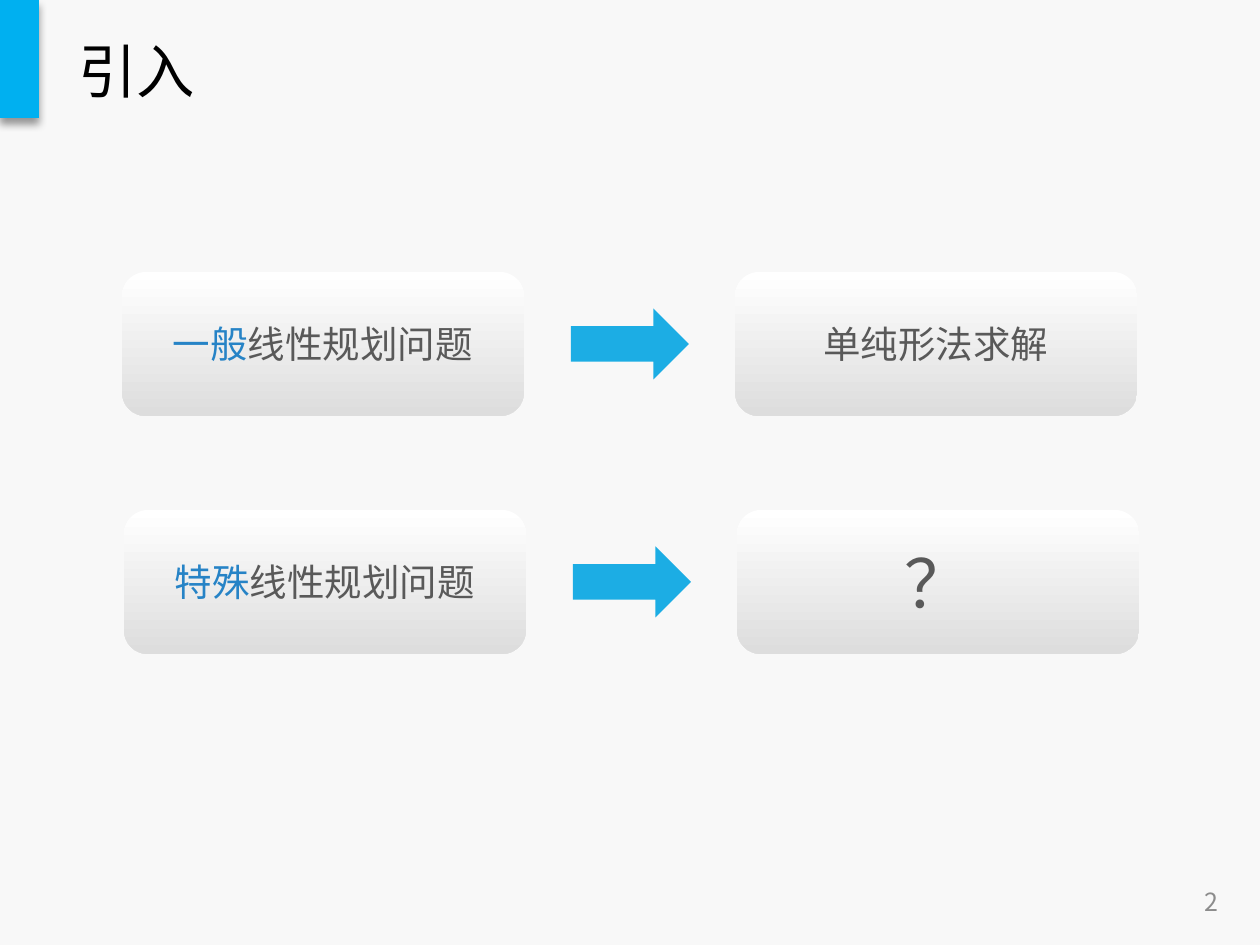
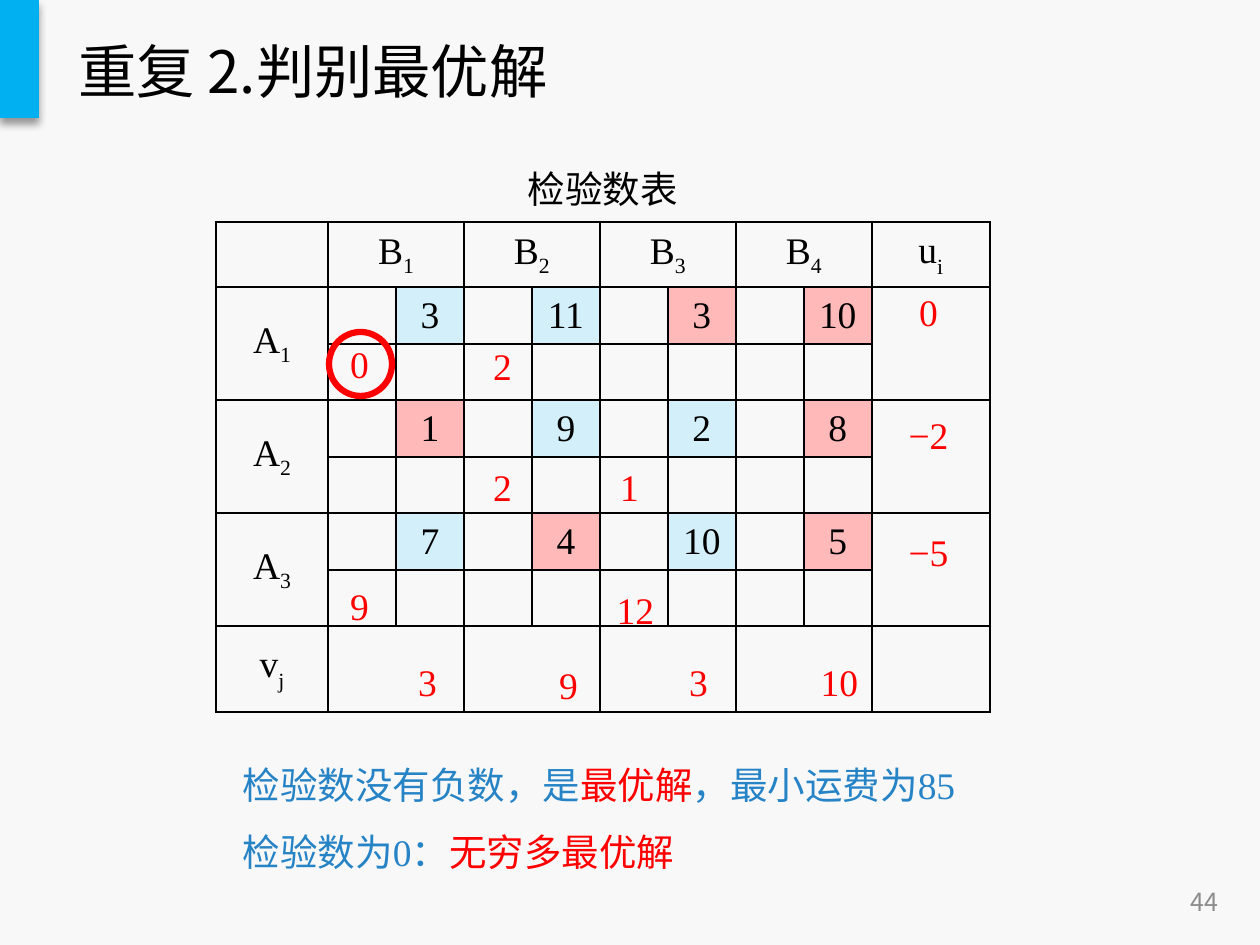
from lxml.etree import SubElement
from pptx import Presentation
from pptx.dml.color import RGBColor
from pptx.enum.shapes import MSO_SHAPE
from pptx.enum.text import MSO_ANCHOR, MSO_AUTO_SIZE, PP_ALIGN
from pptx.oxml import parse_xml
from pptx.oxml.ns import nsdecls, qn
from pptx.util import Pt

EMU_PER_PX = 6096
SANS, SERIF = "Noto Sans CJK SC", "Times New Roman"
BLACK, GREY, PAGE_GREY = "000000", "595959", "8C8C8C"
BLUE, ARROW_BLUE, BAND_BLUE, RED = "2683C6", "1CADE4", "00B0F0", "FF0000"
PALE_BLUE, PALE_RED, BACKGROUND = "D2EFFA", "FFB9B9", "F8F8F8"
BOX_GRADIENT = ("FFFFFF", "DDDDDD")
NO_TABLE_STYLE = "{2D5ABB26-0587-4C30-8999-92F81FD0307C}"

# Each row: left, top, problem runs, method runs, method size
FLOW_ROWS = [
    (122, 272, [("一般", {"color": BLUE}), "线性规划问题"], ["单纯形法求解"], 18),
    (124, 510, [("特殊", {"color": BLUE}), "线性规划问题"], ["？"], 32),
]
BOX_WIDTH, BOX_HEIGHT, METHOD_OFFSET = 402, 144, 613
ARROW_OFFSET, ARROW_WIDTH, ARROW_HEIGHT = 449, 118, 71

TABLE_LEFT, TABLE_TOP = 216, 153
COLUMN_WIDTHS = [112] + [68] * 8 + [118]
ROW_HEIGHTS = [69, 65] + [57, 56] * 3 + [86]
CAPTION = "检验数表"
DESTINATIONS = 4
COSTS = [[3, 11, 3, 10], [1, 9, 2, 8], [7, 4, 10, 5]]
BASIC_CELLS = {(0, 2), (0, 3), (1, 0), (1, 3), (2, 1), (2, 3)}

LABEL_WIDTH, LABEL_HEIGHT = 75, 60
RED_LABELS = [
    ("0", 891, 282), ("−2", 891, 405), ("−5", 891, 522),
    ("3", 390, 652), ("9", 531, 655), ("3", 661, 652), ("10", 802, 652),
    ("0", 322, 334), ("2", 465, 336),
    ("2", 465, 457), ("1", 592, 457),
    ("9", 322, 576), ("12", 598, 580),
]
ZERO_RING = (329, 332, 63, 64)
CONCLUSION = [
    ["检验数没有负数，是", ("最优解", {"color": RED}), "，最小运费为85"],
    ["检验数为0：", ("无穷多最优解", {"color": RED})],
]


def px(*lengths):
    return [round(length * EMU_PER_PX) for length in lengths]


def rgb(color):
    return RGBColor.from_string(color)


def add_run(paragraph, text, size, font, color, baseline=0):
    run = paragraph.add_run()
    run.text = text
    run.font.size = Pt(size)
    run.font.name = font
    run.font.color.rgb = rgb(color)
    properties = run.font._element
    SubElement(properties, qn("a:ea")).set("typeface", SANS)
    if baseline:
        properties.set("baseline", str(baseline * 1000))


def write_text(frame, paragraphs, size=18, font=SERIF, color=BLACK,
               align=PP_ALIGN.LEFT, anchor=MSO_ANCHOR.TOP, spacing=None, wrap=True):
    """Fill a frame; each paragraph is a list of strings or (string, overrides)."""
    frame.word_wrap = wrap
    frame.vertical_anchor = anchor
    for index, runs in enumerate(paragraphs):
        paragraph = frame.add_paragraph() if index else frame.paragraphs[0]
        paragraph.alignment = align
        if spacing:
            paragraph.line_spacing = spacing
        for run in runs:
            text, overrides = (run, {}) if isinstance(run, str) else run
            add_run(paragraph, text, **{"size": size, "font": font, "color": color, **overrides})


def add_text(slide, box, paragraphs, **text_format):
    frame = slide.shapes.add_textbox(*px(*box)).text_frame
    write_text(frame, paragraphs, **text_format)


def add_shape(shapes, kind, box, fill=None):
    shape = shapes.add_shape(kind, *px(*box))
    shape.shadow.inherit = False
    shape.line.fill.background()
    if fill:
        shape.fill.solid()
        shape.fill.fore_color.rgb = rgb(fill)
    else:
        shape.fill.background()
    return shape


def add_slide(presentation, title, number):
    """Add a slide with the band, the title and the page number."""
    slide = presentation.slides.add_slide(presentation.slide_layouts[5])
    band = add_shape(slide.shapes, MSO_SHAPE.RECTANGLE, (0, 0, 39, 118), BAND_BLUE)
    effects = band._element.spPr.find(qn("a:effectLst"))
    effects.append(parse_xml(
        f'<a:outerShdw {nsdecls("a")} blurRad="50800" dist="38100" dir="5400000" rotWithShape="0">'
        f'<a:srgbClr val="{BLACK}"><a:alpha val="40000"/></a:srgbClr></a:outerShdw>'))
    heading = slide.shapes.title
    heading.left, heading.top, heading.width, heading.height = px(63, 24, 1134, 92)
    heading.text_frame.auto_size = MSO_AUTO_SIZE.NONE
    write_text(heading.text_frame, [[title]], size=28, font=SANS, anchor=MSO_ANCHOR.MIDDLE)
    add_text(slide, (939, 876, 294, 51), [[str(number)]], size=12, font=SANS,
             color=PAGE_GREY, align=PP_ALIGN.RIGHT, anchor=MSO_ANCHOR.MIDDLE)
    return slide


def add_flow_box(shapes, left, top, runs, size):
    box = add_shape(shapes, MSO_SHAPE.ROUNDED_RECTANGLE, (left, top, BOX_WIDTH, BOX_HEIGHT))
    box.fill.gradient()
    box.fill.gradient_angle = 270
    for stop, color in zip(box.fill.gradient_stops, BOX_GRADIENT):
        stop.color.rgb = rgb(color)
    write_text(box.text_frame, [runs], size=size, font=SANS, color=GREY,
               align=PP_ALIGN.CENTER, anchor=MSO_ANCHOR.MIDDLE, wrap=False)


def add_flow_row(slide, left, top, problem, method, method_size):
    shapes = slide.shapes.add_group_shape().shapes
    add_flow_box(shapes, left, top, problem, 18)
    arrow_top = top + (BOX_HEIGHT - ARROW_HEIGHT) / 2
    add_shape(shapes, MSO_SHAPE.RIGHT_ARROW,
              (left + ARROW_OFFSET, arrow_top, ARROW_WIDTH, ARROW_HEIGHT), ARROW_BLUE)
    add_flow_box(shapes, left + METHOD_OFFSET, top, method, method_size)


def draw_borders(cell, sides):
    properties = cell._tc.get_or_add_tcPr()
    for side in "LRTB":
        if side in sides:
            properties.append(parse_xml(
                f'<a:ln{side} {nsdecls("a")} w="12700"><a:solidFill>'
                f'<a:srgbClr val="{BLACK}"/></a:solidFill></a:ln{side}>'))


def add_block(table, row, column, rows=1, columns=1, merge=True, sides="LRTB"):
    """Outline a block of cells, merged into one unless merge is False."""
    last_row, last_column = row + rows - 1, column + columns - 1
    for r in range(row, last_row + 1):
        for c in range(column, last_column + 1):
            outer = {"L": c == column, "R": c == last_column,
                     "T": r == row, "B": r == last_row}
            origin = merge and (r, c) == (row, column)
            draw_borders(table.cell(r, c), [s for s in sides if origin or outer[s]])
    if merge and rows * columns > 1:
        table.cell(row, column).merge(table.cell(last_row, last_column))


def symbol(letter, index, baseline=-25):
    return [letter, (str(index), {"baseline": baseline})]


def add_cost_table(slide):
    rows, columns = len(ROW_HEIGHTS), len(COLUMN_WIDTHS)
    box = (TABLE_LEFT, TABLE_TOP, sum(COLUMN_WIDTHS), sum(ROW_HEIGHTS))
    table = slide.shapes.add_table(rows, columns, *px(*box)).table
    table.first_row = table.horz_banding = False
    table._tbl.tblPr.find(qn("a:tableStyleId")).text = NO_TABLE_STYLE
    for column, width in zip(table.columns, px(*COLUMN_WIDTHS)):
        column.width = width
    for row, height in zip(table.rows, px(*ROW_HEIGHTS)):
        row.height = height

    last_row, last_column = rows - 1, columns - 1
    texts = {(0, 0): [CAPTION], (1, last_column): symbol("u", "i", -30),
             (last_row, 0): symbol("v", "j", -30)}
    fills = {}
    add_block(table, 0, 0, columns=columns, sides="B")
    for row in (1, last_row):
        add_block(table, row, 0)
        add_block(table, row, last_column)
        for j in range(DESTINATIONS):
            add_block(table, row, 1 + 2 * j, columns=2)
    for j in range(DESTINATIONS):
        texts[1, 1 + 2 * j] = symbol("B", j + 1)
    for i, costs in enumerate(COSTS):
        row = 2 + 2 * i
        add_block(table, row, 0, rows=2)
        add_block(table, row, last_column, rows=2)
        texts[row, 0] = symbol("A", i + 1)
        for j, cost in enumerate(costs):
            column = 1 + 2 * j
            add_block(table, row, column, rows=2, columns=2, merge=False)
            texts[row, column + 1] = [str(cost)]
            fills[row, column + 1] = PALE_RED if (i, j) in BASIC_CELLS else PALE_BLUE

    for r in range(rows):
        for c in range(columns):
            cell = table.cell(r, c)
            cell.margin_left = cell.margin_right = cell.margin_top = cell.margin_bottom = 0
            cell.vertical_anchor = MSO_ANCHOR.MIDDLE
            if (r, c) in fills:
                cell.fill.solid()
                cell.fill.fore_color.rgb = rgb(fills[r, c])
            else:
                cell.fill.background()
            if (r, c) in texts:
                paragraph = cell.text_frame.paragraphs[0]
                paragraph.alignment = PP_ALIGN.CENTER
                for run in texts[r, c]:
                    text, overrides = (run, {}) if isinstance(run, str) else run
                    add_run(paragraph, text, 18, SERIF, BLACK, **overrides)


def main():
    presentation = Presentation()
    presentation.slide_width, presentation.slide_height = px(1260, 945)
    background = presentation.slide_master.background.fill
    background.solid()
    background.fore_color.rgb = rgb(BACKGROUND)

    introduction = add_slide(presentation, "引入", 2)
    for flow_row in FLOW_ROWS:
        add_flow_row(introduction, *flow_row)

    optimality = add_slide(presentation, "重复 2.判别最优解", 44)
    add_cost_table(optimality)
    for text, left, top in RED_LABELS:
        add_text(optimality, (left, top, LABEL_WIDTH, LABEL_HEIGHT), [[text]],
                 color=RED, align=PP_ALIGN.CENTER)
    ring = add_shape(optimality.shapes, MSO_SHAPE.OVAL, ZERO_RING)
    ring.line.color.rgb = rgb(RED)
    ring.line.width = Pt(3)
    add_text(optimality, (228, 732, 762, 152), CONCLUSION, color=BLUE, spacing=1.5)

    presentation.save("out.pptx")


if __name__ == "__main__":
    main()
